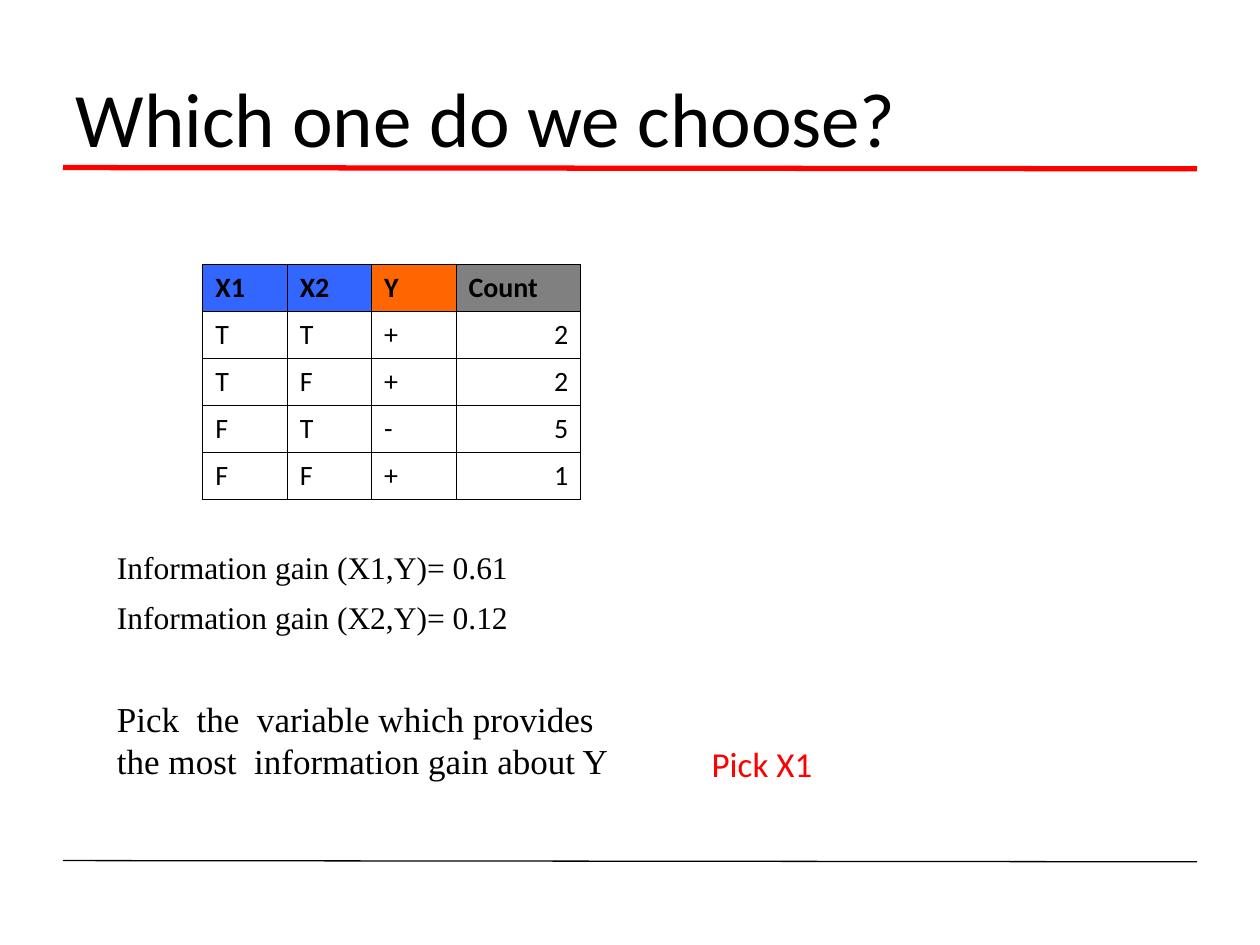
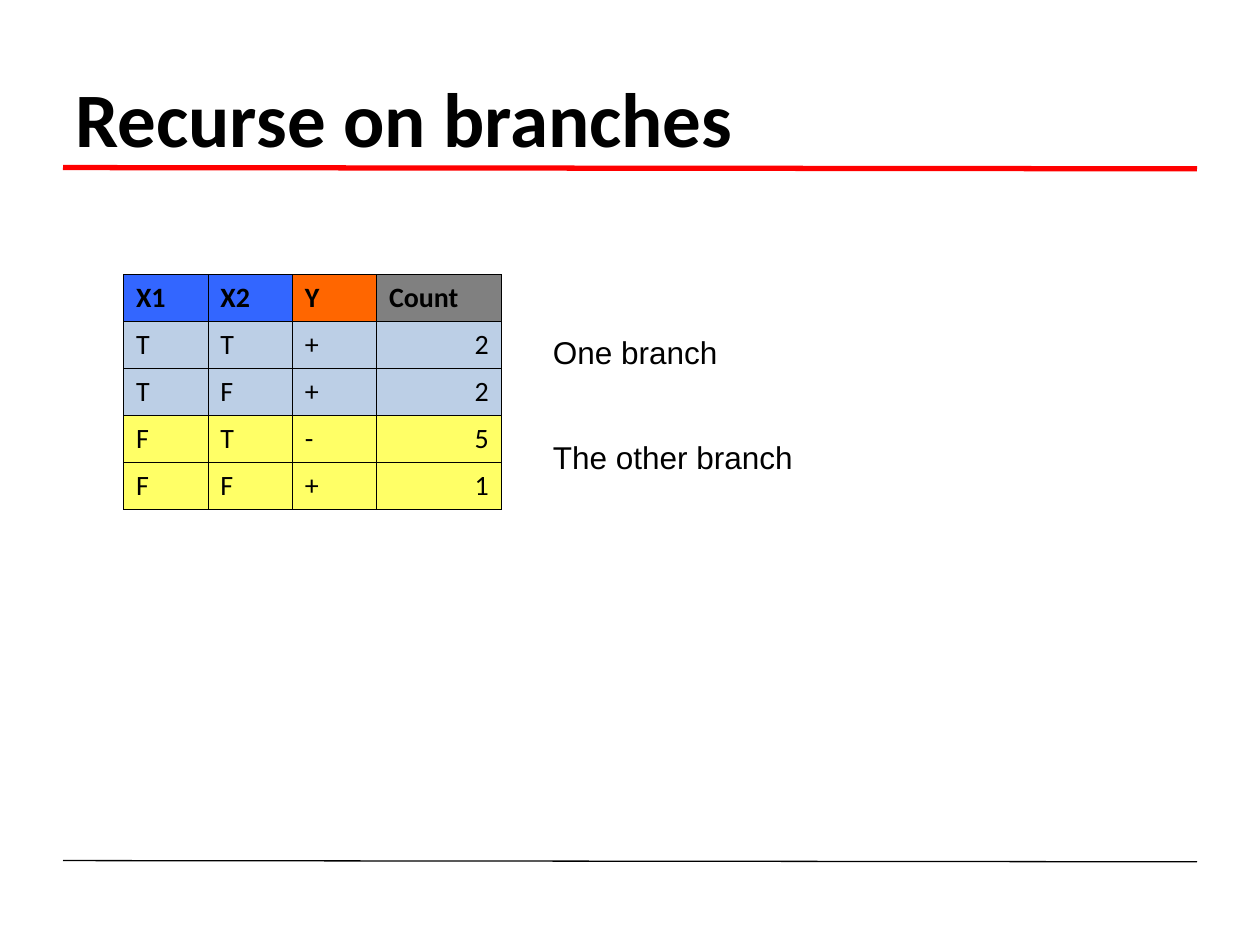
from dataclasses import dataclass

from lxml.etree import SubElement
from pptx import Presentation
from pptx.dml.color import RGBColor as RGB
from pptx.enum.shapes import MSO_CONNECTOR as Connector
from pptx.enum.text import MSO_ANCHOR as Anchor, MSO_AUTO_SIZE as AutoSize, PP_ALIGN as Align
from pptx.oxml.ns import qn
from pptx.util import Inches, Pt


@dataclass(frozen=True)
class Theme:
    black: str = "000000"
    red: str = "FF0000"
    input_blue: str = "3366FF"
    target_orange: str = "FF6600"
    count_gray: str = "808080"
    true_branch: str = "BCCFE6"
    false_branch: str = "FFFF66"
    sans: str = "Calibri"
    serif: str = "Times New Roman"
    label: str = "Arial"
    title_size: int = 44
    cell_size: int = 16
    note_size: int = 18
    answer_size: int = 20


theme = Theme()


def style_text(para, name, size, color=theme.black, bold=False):
    font_format = {"name": name, "size": Pt(size), "bold": bold}
    for key, value in font_format.items():
        setattr(para.font, key, value)
    para.font.color.rgb = RGB.from_string(color)


def add_border(cell):
    properties = cell._tc.get_or_add_tcPr()
    for side in ("lnL", "lnR", "lnT", "lnB"):
        line = SubElement(properties, qn(f"a:{side}"), w=str(Pt(0.45)))
        fill = SubElement(line, qn("a:solidFill"))
        SubElement(fill, qn("a:srgbClr"), val=theme.black)


header = ("X1", "X2", "Y", "Count")
header_fills = (theme.input_blue, theme.input_blue, theme.target_orange, theme.count_gray)
samples = (("T", "T", "+", "2"), ("T", "F", "+", "2"), ("F", "T", "-", "5"), ("F", "F", "+", "1"))
column_widths = (0.67, 0.67, 0.67, 0.99)
row_height = 0.37
branch_fills = {"T": theme.true_branch, "F": theme.false_branch}

# Rules: start, end, colour, width
rules = (
    ((0.5, 1.33), (9.5, 1.34), theme.red, 3),
    ((0.5, 6.83), (9.5, 6.84), theme.black, 0.75),
)

# Notes: left, top, width, height, lines, font, size, colour
pages = (
    {
        "title": "Which one do we choose?",
        "bold": False,
        "table_at": (1.61, 2.1),
        "row_fills": {},
        "notes": (
            (0.83, 4.3, 3.6, 0.4, ["Information gain (X1,Y)= 0.61"],
             theme.serif, theme.note_size, theme.black),
            (0.83, 4.7, 3.6, 0.4, ["Information gain (X2,Y)= 0.12"],
             theme.serif, theme.note_size, theme.black),
            (5.55, 5.84, 1.2, 0.44, ["Pick X1"],
             theme.sans, theme.answer_size, theme.red),
            (0.83, 5.49, 7.72, 0.77,
             ["Pick  the  variable which provides", "the most  information gain about Y"],
             theme.serif, theme.answer_size, theme.black),
        ),
    },
    {
        "title": "Recurse on branches",
        "bold": True,
        "table_at": (0.98, 2.18),
        "row_fills": branch_fills,
        "notes": (
            (4.29, 2.59, 1.7, 0.4, ["One branch"],
             theme.label, theme.note_size, theme.black),
            (4.29, 3.43, 2.3, 0.4, ["The other branch"],
             theme.label, theme.note_size, theme.black),
        ),
    },
)

deck = Presentation()
deck.slide_width, deck.slide_height = Inches(10), Inches(7.5)

for content in pages:
    page = deck.slides.add_slide(deck.slide_layouts[5])

    for start, end, color, width in rules:
        rule = page.shapes.add_connector(Connector.STRAIGHT, *map(Inches, start + end))
        rule.line.color.rgb = RGB.from_string(color)
        rule.line.width = Pt(width)
        SubElement(rule._element.spPr, qn("a:effectLst"))

    title = page.shapes.title
    placement = {"left": 0.5, "top": 0.3, "width": 9, "height": 1.25}
    for key, value in placement.items():
        setattr(title, key, Inches(value))
    title.text_frame.text = content["title"]
    title.text_frame.vertical_anchor = Anchor.MIDDLE
    para = title.text_frame.paragraphs[0]
    para.alignment = Align.LEFT
    style_text(para, theme.sans, theme.title_size, bold=content["bold"])

    rows = (header, *samples)
    size = (sum(column_widths), row_height * len(rows))
    table = page.shapes.add_table(
        len(rows), len(header), *map(Inches, content["table_at"] + size)
    ).table
    for column, width in zip(table.columns, column_widths):
        column.width = Inches(width)
    for row_index, values in enumerate(rows):
        table.rows[row_index].height = Inches(row_height)
        is_header = row_index == 0
        for column_index, value in enumerate(values):
            cell = table.cell(row_index, column_index)
            cell.text = value
            cell.vertical_anchor = Anchor.BOTTOM
            add_border(cell)
            fill = header_fills[column_index] if is_header else content["row_fills"].get(values[0])
            if fill:
                cell.fill.solid()
                cell.fill.fore_color.rgb = RGB.from_string(fill)
            else:
                cell.fill.background()
            para = cell.text_frame.paragraphs[0]
            para.alignment = Align.RIGHT if value.isdigit() else Align.LEFT
            style_text(para, theme.sans, theme.cell_size, bold=is_header)

    for left, top, width, height, lines, font, size, color in content["notes"]:
        box = page.shapes.add_textbox(*map(Inches, (left, top, width, height)))
        frame = box.text_frame
        frame.text = "\n".join(lines)
        frame.word_wrap = True
        frame.auto_size = AutoSize.SHAPE_TO_FIT_TEXT
        for para in frame.paragraphs:
            style_text(para, font, size, color)

deck.save("out.pptx")
